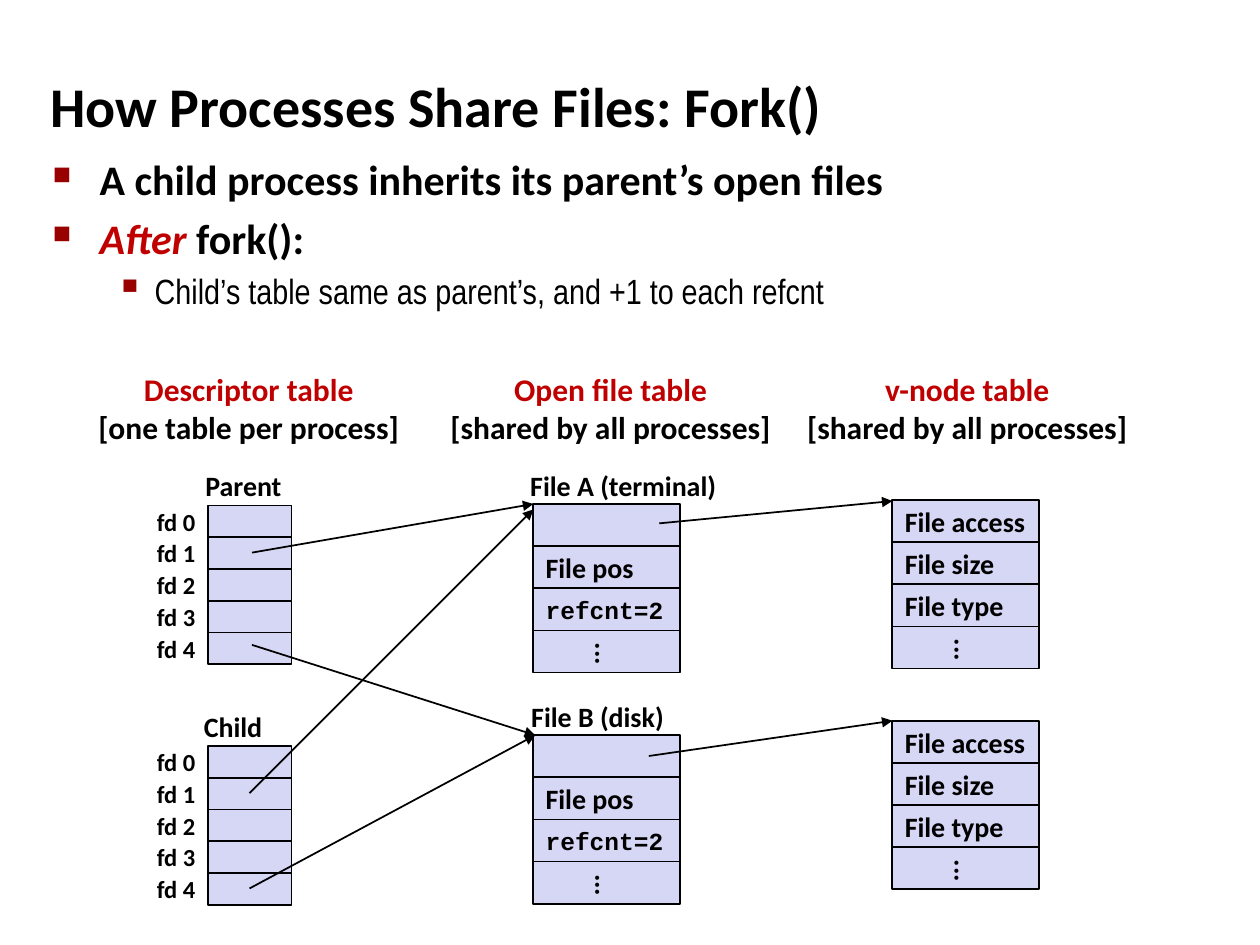
from lxml.etree import SubElement
from pptx import Presentation
from pptx.dml.color import RGBColor
from pptx.enum.shapes import MSO_CONNECTOR as Connector, MSO_SHAPE as Shape
from pptx.enum.text import MSO_ANCHOR as Anchor, PP_ALIGN as Align
from pptx.oxml.ns import qn
from pptx.util import Cm, Pt

BLACK, RED, BULLET_RED, LAVENDER = "000000", "C00000", "990000", "D6D6F5"
TITLE = "How Processes Share Files: Fork()"
TOP = {"level": 0, "margin": 0.95, "indent": -0.95, "bullet": "■", "percent": 60,
       "size": 24, "font": "Calibri", "bold": True}
SUB = {"level": 1, "margin": 2.06, "indent": -0.79, "bullet": "▪", "percent": 110,
       "size": 20, "font": "Arial Narrow", "bold": False}
BULLETS = [
    (TOP, [("A child process inherits its parent’s open files", BLACK, False)]),
    (TOP, [("After", RED, True), (" fork():", BLACK, False)]),
    (SUB, [("Child’s table same as parent’s, and +1 to each refcnt", BLACK, False)]),
]
HEADINGS = [
    ("Descriptor table", "[one table per process]", 1.7, 6.63),
    ("Open file table", "[shared by all processes]", 8.79, 7.04),
    ("v-node table", "[shared by all processes]", 15.98, 7.04),
]
CAPTIONS = [
    ("Parent", 3.89, 9.32, 2.06), ("Child", 3.86, 14.17, 1.7),
    ("File A (terminal)", 10.44, 9.32, 4.29), ("File B (disk)", 10.46, 13.97, 3.23),
]
DESCRIPTORS = ["fd 0", "fd 1", "fd 2", "fd 3", "fd 4"]
DESCRIPTOR_LEFT, DESCRIPTOR_TOPS = 4.19, [10.19, 15.04]
DESCRIPTOR_WIDTH, DESCRIPTOR_HEIGHT = 1.69, 0.64
OPEN_FILE = ["", "File pos", "refcnt=2", "..."]
V_NODE = ["File access", "File size", "File type", "..."]
RECORDS = [
    (OPEN_FILE, 10.75, 10.16), (OPEN_FILE, 10.75, 14.82),
    (V_NODE, 17.99, 10.08), (V_NODE, 17.99, 14.53),
]
RECORD_WIDTH, RECORD_HEIGHT = 2.96, 0.85
ARROWS = [
    (5.08, 11.14, 10.75, 10.16), (5.08, 13, 10.79, 14.82),
    (5.03, 15.99, 10.75, 10.27), (5.03, 17.91, 10.79, 14.82),
    (13.29, 10.55, 17.99, 10.1), (13.08, 15.24, 17.99, 14.53),
]


def color(value):
    return RGBColor.from_string(value)


def format_runs(paragraph, size, font="Calibri", bold=True, fill=BLACK):
    for run in paragraph.runs:
        run.font.size, run.font.name, run.font.bold = Pt(size), font, bold
        run.font.color.rgb = color(fill)


def add_text(slide, text, left, top, width, height, size, align=Align.LEFT):
    shape = slide.shapes.add_textbox(Cm(left), Cm(top), Cm(width), Cm(height))
    frame = shape.text_frame
    frame.text = text
    frame.word_wrap, frame.vertical_anchor = False, Anchor.MIDDLE
    for paragraph in frame.paragraphs:
        paragraph.alignment = align
        format_runs(paragraph, size)
    return shape


def add_cell(slide, text, left, top, width, height):
    shape = slide.shapes.add_shape(Shape.RECTANGLE, Cm(left), Cm(top), Cm(width), Cm(height))
    shape.shadow.inherit = False
    shape.fill.solid()
    shape.fill.fore_color.rgb = color(LAVENDER)
    shape.line.color.rgb, shape.line.width = color(BLACK), Pt(1)
    if text:
        frame = shape.text_frame
        frame.text = text
        frame.word_wrap, frame.vertical_anchor = False, Anchor.MIDDLE
        paragraph = frame.paragraphs[0]
        paragraph.alignment = Align.LEFT
        if text == "refcnt=2":
            format_runs(paragraph, 14, "Courier New")
        else:
            format_runs(paragraph, 16)
        if text == "...":
            frame._txBody.bodyPr.set("vert", "eaVert")


def add_arrow(slide, start_x, start_y, end_x, end_y):
    arrow = slide.shapes.add_connector(
        Connector.STRAIGHT, Cm(start_x), Cm(start_y), Cm(end_x), Cm(end_y))
    arrow.line.color.rgb, arrow.line.width = color(BLACK), Pt(1)
    SubElement(arrow.line._get_or_add_ln(), qn("a:tailEnd"), type="triangle")
    SubElement(arrow._element.spPr, qn("a:effectLst"))


def add_bullets(slide):
    shape = slide.shapes.add_textbox(Cm(0.81), Cm(2.97), Cm(23.09), Cm(3.61))
    frame = shape.text_frame
    frame.word_wrap = True
    for index, (style, pieces) in enumerate(BULLETS):
        paragraph = frame.add_paragraph() if index else frame.paragraphs[0]
        paragraph.level = style["level"]
        if index:
            paragraph.space_before = Pt(style["size"] * 0.2)
        properties = paragraph._p.get_or_add_pPr()
        properties.set("marL", str(Cm(style["margin"])))
        properties.set("indent", str(Cm(style["indent"])))
        bullet_color = SubElement(properties, qn("a:buClr"))
        SubElement(bullet_color, qn("a:srgbClr"), val=BULLET_RED)
        SubElement(properties, qn("a:buSzPct"), val=str(style["percent"] * 1000))
        SubElement(properties, qn("a:buChar"), char=style["bullet"])
        for text, _, _ in pieces:
            paragraph.add_run().text = text
        format_runs(paragraph, style["size"], style["font"], style["bold"])
        for run, (_, fill, italic) in zip(paragraph.runs, pieces):
            run.font.color.rgb, run.font.italic = color(fill), italic


def main():
    """Build the slide on how a forked child shares open files."""
    presentation = Presentation()
    presentation.slide_width, presentation.slide_height = Cm(25.4), Cm(19.05)
    slide = presentation.slides.add_slide(presentation.slide_layouts[6])
    add_text(slide, TITLE, 0.76, 1.07, 21.08, 2.11, 32)
    add_bullets(slide)
    for name, scope, left, width in HEADINGS:
        heading = add_text(slide, f"{name}\n{scope}", left, 7.32, width, 1.8, 18, Align.CENTER)
        format_runs(heading.text_frame.paragraphs[0], 18, fill=RED)
    for table_top in DESCRIPTOR_TOPS:
        for row, label in enumerate(DESCRIPTORS):
            top = table_top + row * DESCRIPTOR_HEIGHT
            size = DESCRIPTOR_WIDTH, DESCRIPTOR_HEIGHT
            add_cell(slide, "", DESCRIPTOR_LEFT, top, *size)
            add_text(slide, label, DESCRIPTOR_LEFT - DESCRIPTOR_WIDTH, top, *size, 14, Align.RIGHT)
    for fields, left, table_top in RECORDS:
        for row, field in enumerate(fields):
            add_cell(slide, field, left, table_top + row * RECORD_HEIGHT, RECORD_WIDTH, RECORD_HEIGHT)
    for text, left, top, width in CAPTIONS:
        add_text(slide, text, left, top, width, 0.94, 16)
    for arrow in ARROWS:
        add_arrow(slide, *arrow)
    presentation.save("out.pptx")


if __name__ == "__main__":
    main()
